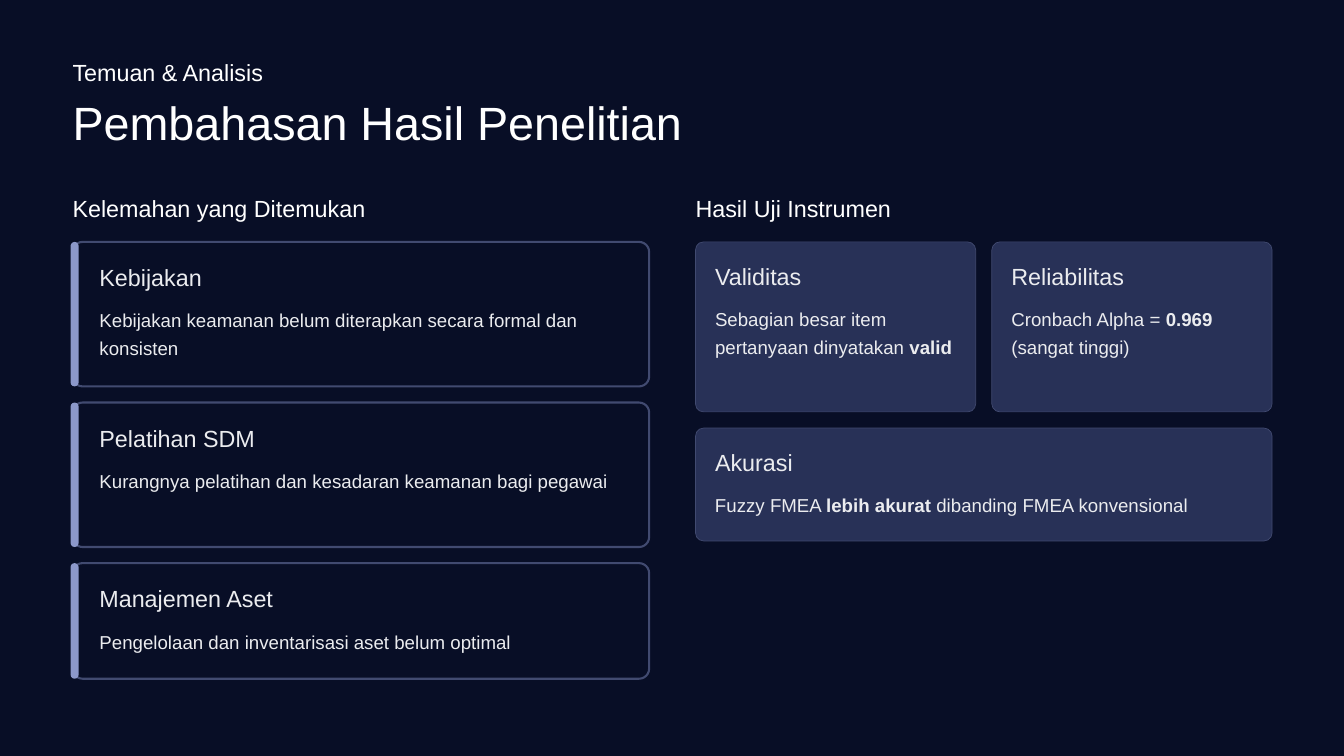
from pptx import Presentation
from pptx.dml.color import RGBColor
from pptx.enum.shapes import MSO_SHAPE
from pptx.enum.text import MSO_ANCHOR, MSO_AUTO_SIZE, PP_ALIGN
from pptx.util import Emu, Pt

PX = 9144  # 100 px to the inch
NAVY = RGBColor(0x08, 0x0E, 0x26)
PANEL = RGBColor(0x28, 0x31, 0x57)
BORDER = RGBColor(0x41, 0x4A, 0x70)
ACCENT = RGBColor(0x8C, 0x98, 0xCA)
WHITE = RGBColor(0xFF, 0xFF, 0xFF)
PALE = RGBColor(0xEB, 0xEC, 0xEF)

LEFT, RIGHT, COLUMN = 108, 1035, 858
TOP, GAP = 360, 24
HEADING_HEIGHT = 44


class SlideBuilder:
    font = "Arial"

    def __init__(self, page):
        self.page = page
        page.background.fill.solid()
        page.background.fill.fore_color.rgb = NAVY

    def place(self, left, top, width, height):
        return [Emu(n * PX) for n in (left, top, width, height)]

    def set_text(self, box, text, size, leading, color):
        """Fill a box with one paragraph; ** marks switch bold on and off."""
        frame = box.text_frame
        frame.word_wrap = True
        frame.auto_size = MSO_AUTO_SIZE.NONE
        frame.vertical_anchor = MSO_ANCHOR.TOP
        frame.margin_left = frame.margin_right = 0
        frame.margin_top = frame.margin_bottom = 0
        para = frame.paragraphs[0]
        para.alignment = PP_ALIGN.LEFT
        para.line_spacing = Pt(leading)
        for index, part in enumerate(text.split("**")):
            if part:
                span = para.add_run()
                span.text = part
                span.font.name = self.font
                span.font.size = Pt(size)
                span.font.bold = index % 2 == 1
                span.font.color.rgb = color

    def title(self, text, left, top, width, height):
        box = self.page.shapes.title
        box.left, box.top, box.width, box.height = self.place(left, top, width, height)
        self.set_text(box, text, 50, 62.5, WHITE)

    def heading(self, text, left, top, width=348, color=WHITE):
        box = self.page.shapes.add_textbox(*self.place(left, top, width, HEADING_HEIGHT))
        self.set_text(box, text, 25, 31.2, color)

    def body(self, text, left, top, width, height):
        box = self.page.shapes.add_textbox(*self.place(left, top, width, height))
        self.set_text(box, text, 20, 30, PALE)

    def panel(self, left, top, width, height, radius, fill, line_width=0):
        shape = self.page.shapes.add_shape(
            MSO_SHAPE.ROUNDED_RECTANGLE, *self.place(left, top, width, height))
        shape.adjustments[0] = radius / min(width, height)
        shape.shadow.inherit = False
        shape.fill.solid()
        shape.fill.fore_color.rgb = fill
        if line_width:
            shape.line.color.rgb = BORDER
            shape.line.width = Pt(line_width)
        else:
            shape.line.fill.background()

    def card_text(self, name, text, left, top, width, height, pad):
        self.heading(name, left, top + pad, color=PALE)
        self.body(text, left, top + pad + 62, width, height - 2 * pad - 62)

    def weakness_card(self, name, text, left, top, width, height):
        self.panel(left, top, width, height, 15, NAVY, 2.25)
        self.panel(left - 3, top, 12, height, 6, ACCENT)
        self.card_text(name, text, left + 40, top, width - 71, height, 30)

    def result_card(self, name, text, left, top, width, height):
        self.panel(left, top, width, height, 12, PANEL, 0.75)
        self.card_text(name, text, left + 29, top, width - 58, height, 28)


def main():
    deck = Presentation()
    deck.slide_width, deck.slide_height = Emu(2000 * PX), Emu(1125 * PX)
    slide = SlideBuilder(deck.slides.add_slide(deck.slide_layouts[5]))

    # Header
    slide.heading("Temuan & Analisis", LEFT, 85)
    slide.title("Pembahasan Hasil Penelitian", LEFT, 136, 965, 90)

    # Left column: weaknesses
    slide.heading("Kelemahan yang Ditemukan", LEFT, 287, 470)
    weaknesses = [
        ("Kebijakan", "Kebijakan keamanan belum diterapkan secara formal dan konsisten", 215),
        ("Pelatihan SDM", "Kurangnya pelatihan dan kesadaran keamanan bagi pegawai", 215),
        ("Manajemen Aset", "Pengelolaan dan inventarisasi aset belum optimal", 172),
    ]
    top = TOP
    for name, text, height in weaknesses:
        slide.weakness_card(name, text, LEFT, top, COLUMN, height)
        top += height + GAP

    # Right column: two half-width results above a full-width one
    slide.heading("Hasil Uji Instrumen", RIGHT, 287)
    half = (COLUMN - GAP) // 2
    results = [
        ("Validitas", "Sebagian besar item pertanyaan dinyatakan **valid**"),
        ("Reliabilitas", "Cronbach Alpha = **0.969** (sangat tinggi)"),
    ]
    for index, (name, text) in enumerate(results):
        slide.result_card(name, text, RIGHT + index * (half + GAP), TOP, half, 253)
    slide.result_card("Akurasi", "Fuzzy FMEA **lebih akurat** dibanding FMEA konvensional",
                      RIGHT, TOP + 253 + GAP, COLUMN, 168)

    deck.save("out.pptx")


if __name__ == "__main__":
    main()
